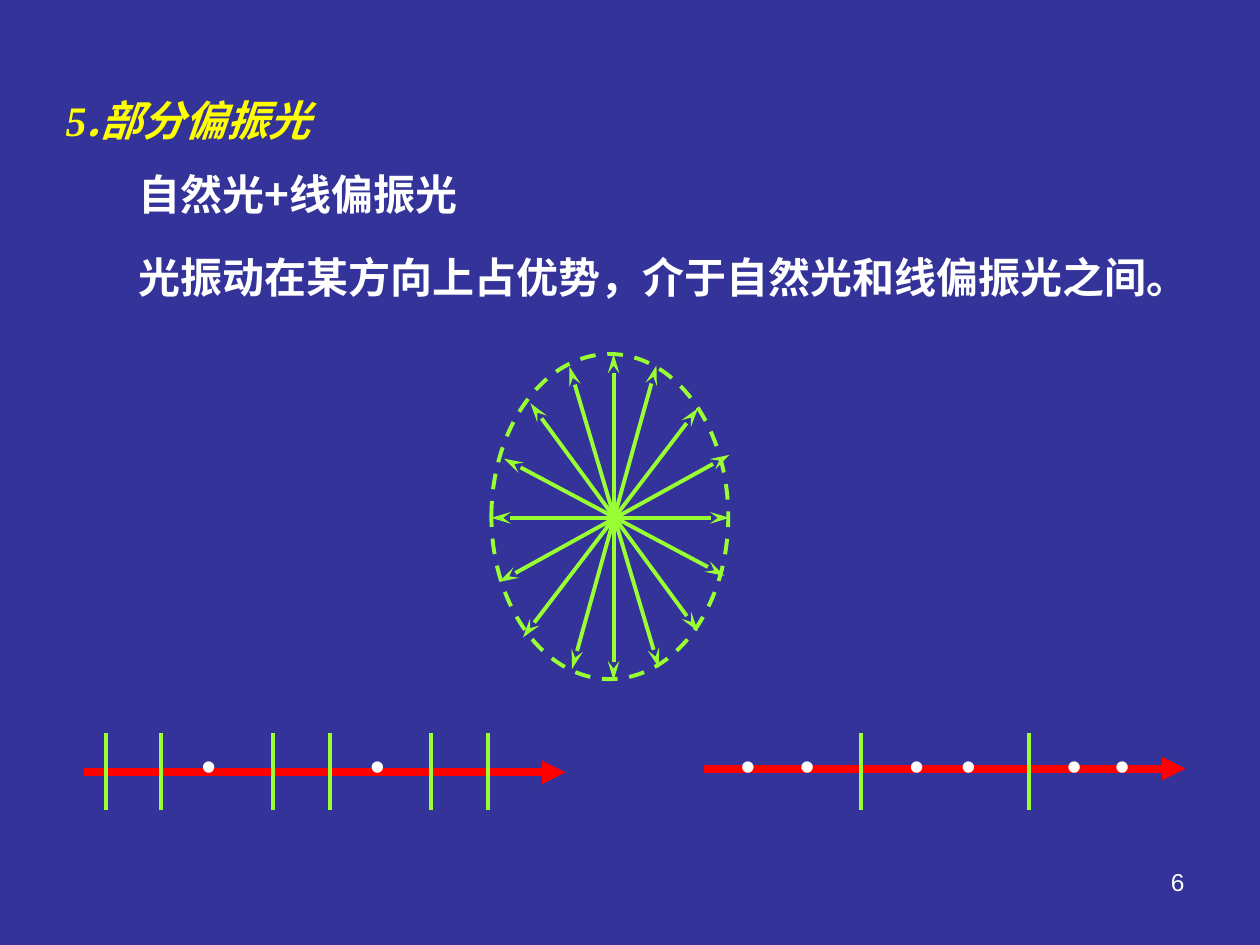
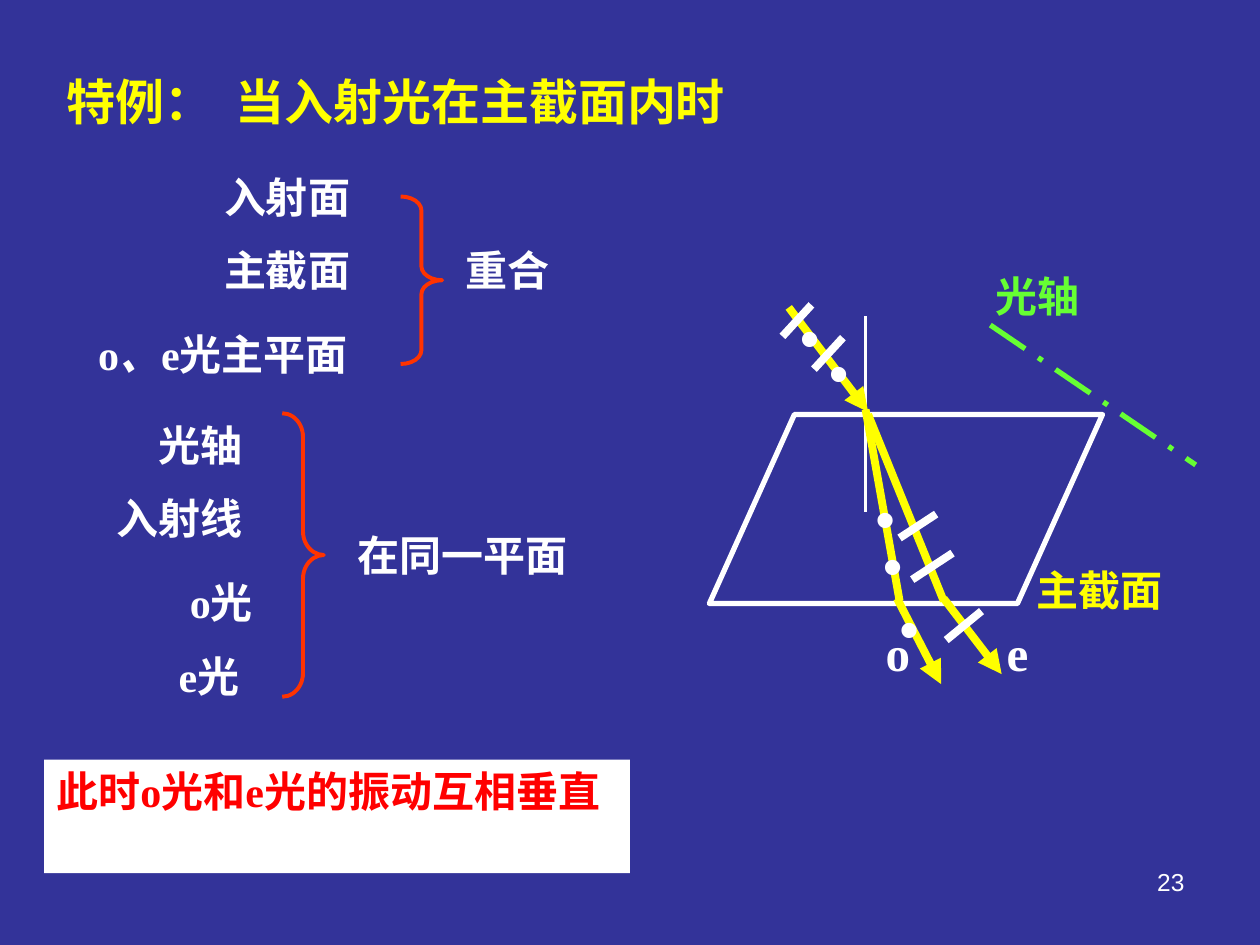
from dataclasses import dataclass

from lxml.etree import SubElement
from pptx import Presentation
from pptx.dml.color import RGBColor
from pptx.enum.dml import MSO_LINE
from pptx.enum.shapes import MSO_CONNECTOR, MSO_SHAPE
from pptx.enum.text import MSO_ANCHOR, MSO_AUTO_SIZE, PP_ALIGN
from pptx.oxml.ns import qn
from pptx.util import Inches, Pt


@dataclass(frozen=True)
class Theme:
    background: str = "333399"
    white: str = "FFFFFF"
    yellow: str = "FFFF00"
    red: str = "FF0000"
    brace: str = "FF3300"
    vibration: str = "99FF33"
    axis: str = "66FF33"
    serif: str = "Times New Roman"
    sans: str = "Arial"
    chinese: str = "Noto Sans CJK SC"
    number_size: int = 14
    body_size: int = 24
    heading_size: int = 28
    big_dot_size: int = 32
    thin: float = 1.5
    medium: float = 2.25
    outline: float = 3
    ray: float = 4.5


THEME = Theme()
ROW_OFFSETS = (0, 0.58, 1.25, 1.83)


def rgb(color):
    return RGBColor.from_string(color)


def write_text(text_frame, text, size=THEME.body_size, color=THEME.white, bold=True,
               latin=THEME.serif, spacing=None, align=PP_ALIGN.LEFT):
    """Write one paragraph; a list of strings becomes separate runs."""
    text_frame.word_wrap = True
    text_frame.auto_size = MSO_AUTO_SIZE.NONE
    text_frame.vertical_anchor = MSO_ANCHOR.TOP
    paragraph = text_frame.paragraphs[0]
    for part in [text] if isinstance(text, str) else text:
        paragraph.add_run().text = part
    paragraph.alignment = align
    if spacing:
        paragraph.line_spacing = spacing
    font = paragraph.font
    font.size, font.bold, font.name = Pt(size), bold, latin
    font.color.rgb = rgb(color)
    # East Asian typeface follows the Latin one
    properties = paragraph._p.pPr.find(qn("a:defRPr"))
    SubElement(properties, qn("a:ea")).set("typeface", THEME.chinese)
    return paragraph


class Region:
    """A part of a slide; lengths are inches from its top left corner."""

    def __init__(self, slide, left, top):
        self.shapes, self.left, self.top = slide.shapes, left, top

    def point(self, x, y):
        return Inches(self.left + x), Inches(self.top + y)

    def text(self, text, x, y, width, height=0.5, **style):
        box = self.shapes.add_textbox(*self.point(x, y), Inches(width), Inches(height))
        return write_text(box.text_frame, text, **style)

    def dot(self, x, y, size=THEME.body_size):
        self.text("•", x, y, 0.5, 0.5, size=size, bold=False, latin=THEME.sans)

    def line(self, x1, y1, x2, y2, color, width, dash=None, head=None, tail=None,
             arrow_length="med"):
        connector = self.shapes.add_connector(
            MSO_CONNECTOR.STRAIGHT, *self.point(x1, y1), *self.point(x2, y2))
        connector.line.color.rgb = rgb(color)
        connector.line.width = Pt(width)
        if dash:
            connector.line.dash_style = dash
        for end, kind in (("a:headEnd", head), ("a:tailEnd", tail)):
            if kind:
                arrow = SubElement(connector.line._get_or_add_ln(), qn(end))
                arrow.set("type", kind)
                arrow.set("len", arrow_length)
        SubElement(connector._element.spPr, qn("a:effectLst"))

    def shape(self, kind, x, y, width, height, fill=None, line=None, weight=THEME.medium):
        shape = self.shapes.add_shape(
            kind, *self.point(x, y), Inches(width), Inches(height))
        shape.shadow.inherit = False
        if fill:
            shape.fill.solid()
            shape.fill.fore_color.rgb = rgb(fill)
        else:
            shape.fill.background()
        if line:
            shape.line.color.rgb = rgb(line)
            shape.line.width = Pt(weight)
        else:
            shape.line.fill.background()
        return shape


def add_slide(presentation, number, title, left, top, width, height, **title_style):
    """Title-only slide with its heading and page number."""
    slide = presentation.slides.add_slide(presentation.slide_layouts[5])
    placeholder = slide.shapes.title
    placeholder.left, placeholder.top = Inches(left), Inches(top)
    placeholder.width, placeholder.height = Inches(width), Inches(height)
    heading = write_text(placeholder.text_frame, title, color=THEME.yellow, **title_style)
    Region(slide, 7.17, 6.83).text(
        str(number), 0, 0, 2.33, 0.52, size=THEME.number_size, bold=False,
        latin=THEME.sans, align=PP_ALIGN.RIGHT)
    return slide, heading


# Partially polarized light

def draw_vibration_ellipse(slide, left, top):
    region = Region(slide, left, top)
    ellipse = region.shape(MSO_SHAPE.OVAL, 0, 0, 1.88, 2.58, line=THEME.vibration)
    ellipse.line.dash_style = MSO_LINE.DASH
    diameters = (
        (0, 1.3, 1.89, 1.3), (0.97, 0, 0.97, 2.59),
        (1.64, 0.43, 0.25, 2.25), (0.31, 0.39, 1.64, 2.2),
        (0.62, 0.1, 1.33, 2.49), (1.31, 0.09, 0.64, 2.5),
        (1.85, 1.76, 0.1, 0.83), (0.06, 1.81, 1.89, 0.8),
    )
    for diameter in diameters:
        region.line(*diameter, THEME.vibration, THEME.medium,
                    head="stealth", tail="stealth", arrow_length="lg")


def draw_polarized_beam(slide, left, top, beam_y, ticks, dots):
    region = Region(slide, left, top)
    region.line(0, beam_y, 3.82, beam_y, THEME.red, THEME.ray, tail="triangle")
    for x in ticks:
        region.line(x, 0, x, 0.61, THEME.vibration, THEME.medium)
    for x in dots:
        region.dot(x, 0)


def build_partial_polarization(presentation):
    slide, heading = add_slide(
        presentation, 6, ["5", ".部分偏振光"], 0.42, 0.58, 3.08, 0.62, spacing=1.3)
    heading.font.italic = True
    heading.runs[1].font.name = THEME.chinese

    # Definition
    definition = Region(slide, 1, 1.17)
    for text, y, width in (
            ("自然光+线偏振光", 0, 3.67),
            ("光振动在某方向上占优势，介于自然光和线偏振光之间。", 0.66, 8.8)):
        definition.text(text, 0, y, width, 0.62, latin=THEME.chinese, spacing=1.3)

    # Mostly perpendicular and mostly in-plane vibration
    draw_polarized_beam(slide, 5.59, 5.82, 0.28, ticks=(1.24, 2.58),
                        dots=(0.19, 0.66, 1.53, 1.94, 2.78, 3.16))
    draw_polarized_beam(slide, 0.67, 5.82, 0.31, dots=(0.83, 2.17),
                        ticks=(0.17, 0.61, 1.5, 1.95, 2.75, 3.2))
    draw_vibration_ellipse(slide, 3.9, 2.81)


# Incident light in the principal section

def draw_brace_group(slide, left, top, items, brace, conclusion, spacing=None):
    """Rows of terms, a brace around them and what they share."""
    region = Region(slide, left, top)
    rows = [region.text(text, x, y, 3)
            for (text, x), y in zip(items, ROW_OFFSETS)]
    x, y, height = brace
    width = 0.33
    shape = region.shape(MSO_SHAPE.RIGHT_BRACE, x, y, width, height, line=THEME.brace)
    shape.adjustments[0] = height / 12 / width
    shape.adjustments[1] = 0.5
    region.text(*conclusion, 2.33, spacing=spacing)
    return rows


def draw_refraction(slide, left, top):
    region = Region(slide, left, top)

    # Principal section, surface normal and optical axis
    plane = region.shape(MSO_SHAPE.PARALLELOGRAM, 0, 1.19, 3.12, 1.5,
                         line=THEME.white, weight=THEME.outline)
    plane.adjustments[0] = 0.45
    region.line(1.24, 0.41, 1.24, 1.96, THEME.white, THEME.thin)
    region.line(2.23, 0.48, 3.86, 1.59, THEME.axis, THEME.outline,
                dash=MSO_LINE.LONG_DASH_DOT)
    region.text("光轴", 2.17, 0, 1, color=THEME.axis)
    region.text("主截面", 2.5, 2.33, 1.4, color=THEME.yellow)

    # Incident ray, o and e rays inside, then both rays leaving
    rays = (
        ((0.63, 0.34, 1.26, 1.17), "triangle"),
        ((1.24, 1.15, 1.51, 2.67), None),
        ((1.26, 1.19, 1.86, 2.67), None),
        ((1.86, 2.65, 2.32, 3.25), "triangle"),
        ((1.49, 2.65, 1.84, 3.33), "triangle"),
    )
    for ends, tail in rays:
        region.line(*ends, THEME.yellow, THEME.ray, tail=tail)

    # In-plane vibrations
    for tick in ((0.58, 0.57, 0.81, 0.32), (0.83, 0.83, 1.06, 0.58),
                 (1.51, 2.17, 1.8, 1.98), (1.61, 2.5, 1.93, 2.29),
                 (1.88, 2.98, 2.16, 2.75)):
        region.line(*tick, THEME.white, THEME.ray)

    # Perpendicular vibrations
    for x, y in ((0.62, 0.25), (0.85, 0.53), (1.22, 1.69), (1.28, 2.06), (1.41, 2.56)):
        region.dot(x, y, THEME.big_dot_size)

    for name, x in (("o", 1.3), ("e", 2.26)):
        region.text(name, x, 2.79, 0.58, 0.57, size=THEME.heading_size)


def build_special_case(presentation):
    slide, heading = add_slide(
        presentation, 23, "特例：\t当入射光在主截面内时", 0.43, 0.52, 6.01, 0.57,
        size=THEME.heading_size, latin=THEME.chinese)
    # Tab stop before the second half of the heading
    tab_list = heading._p.pPr.makeelement(qn("a:tabLst"))
    heading._p.pPr.find(qn("a:defRPr")).addprevious(tab_list)
    tab = SubElement(tab_list, qn("a:tab"))
    tab.set("pos", str(Inches(1.34)))
    tab.set("algn", "l")

    rows = draw_brace_group(
        slide, 0.51, 1.31,
        items=(("入射面", 1.17), ("主截面", 1.17), (["o", "、", "e光主平面"], 0.17)),
        brace=(2.67, 0.25, 1.33), conclusion=("重合", 3.09, 0.58))
    rows[2].runs[1].font.italic = True
    draw_brace_group(
        slide, 0.83, 3.28,
        items=(("光轴", 0.33), ("入射线", 0), ("o光", 0.58), ("e光", 0.49)),
        brace=(1.41, 0, 2.25), conclusion=("在同一平面", 1.91, 0.75), spacing=1.3)

    # Result
    result = Region(slide, 0.35, 6.03).shape(
        MSO_SHAPE.RECTANGLE, 0, 0, 4.65, 0.9, fill=THEME.white)
    write_text(result.text_frame, "此时o光和e光的振动互相垂直", color=THEME.red)

    draw_refraction(slide, 5.63, 2.1)


def main():
    presentation = Presentation()
    presentation.slide_width, presentation.slide_height = Inches(10), Inches(7.5)
    background = presentation.slide_master.background.fill
    background.solid()
    background.fore_color.rgb = rgb(THEME.background)
    build_partial_polarization(presentation)
    build_special_case(presentation)
    presentation.save("out.pptx")


if __name__ == "__main__":
    main()
